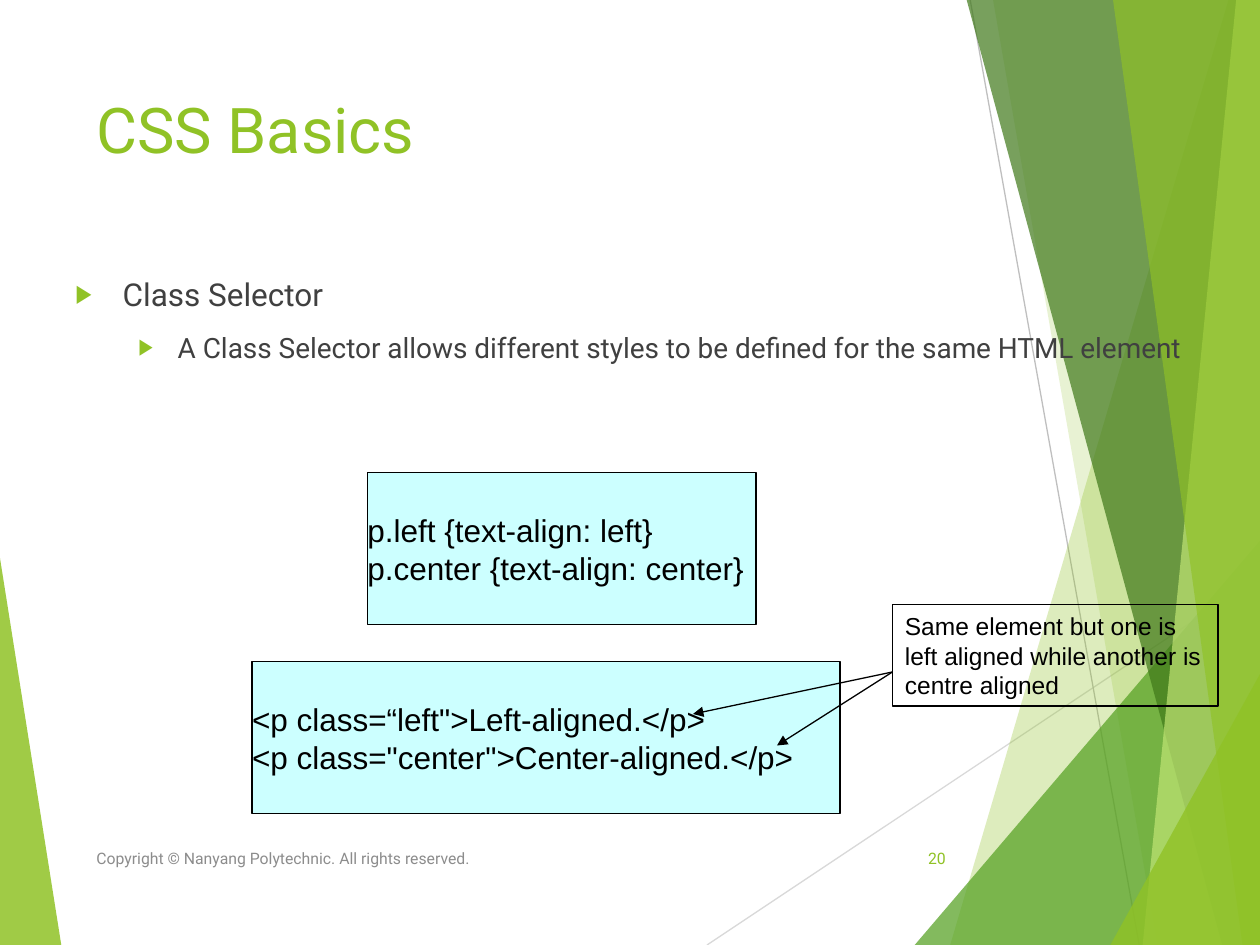
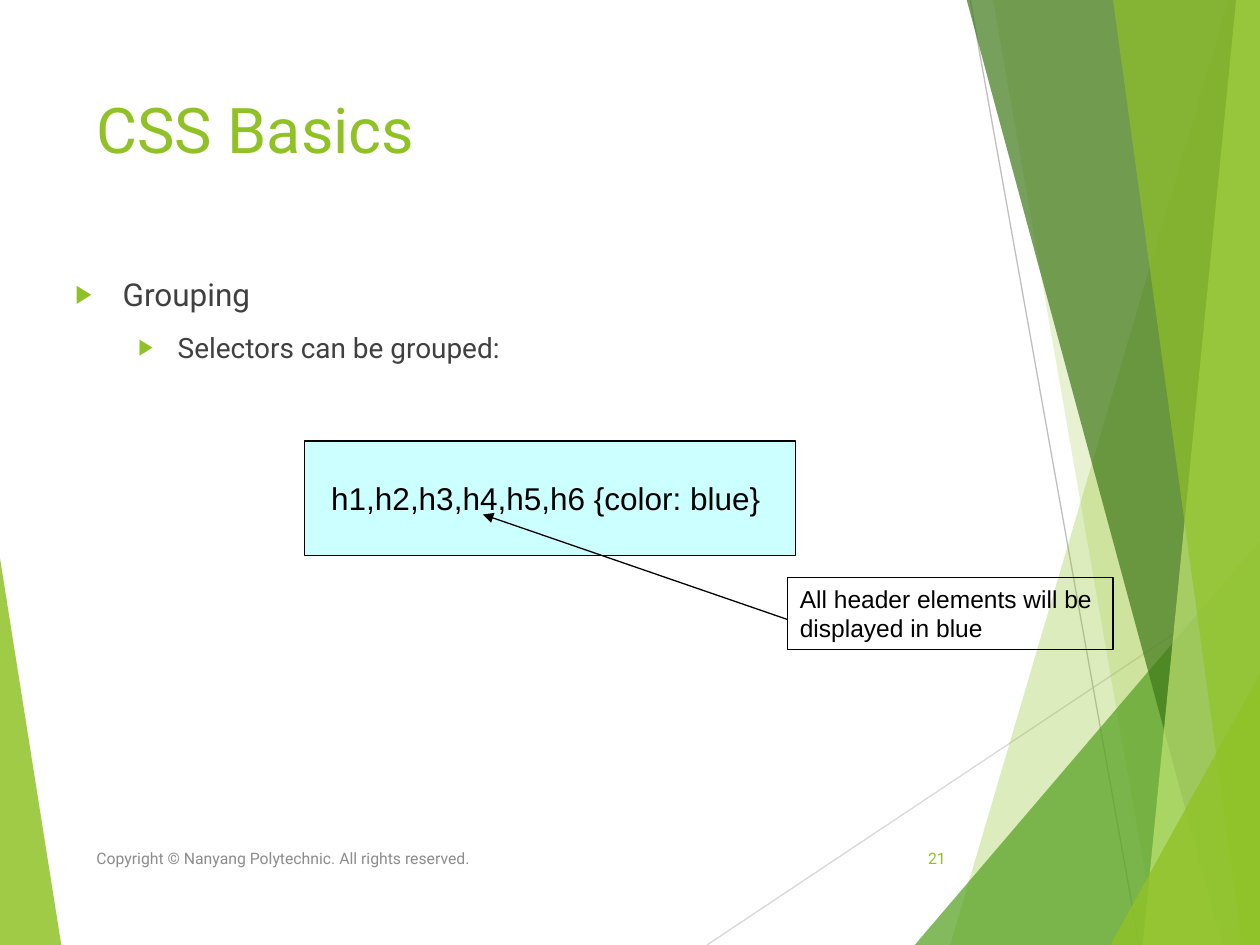
"""Build two CSS Basics slides on a faceted green background."""
from dataclasses import dataclass

from lxml import etree
from pptx import Presentation
from pptx import util as u
from pptx.dml.color import RGBColor
from pptx.enum import shapes, text
from pptx.oxml import ns

WIDTH, HEIGHT = 720, 540
RIGHT_CORNERS = [(WIDTH, HEIGHT), (WIDTH, 0)]


@dataclass(frozen=True)
class Theme:
    heading_font: str = "Roboto"
    code_font: str = "Arial"
    green: str = "90C226"
    grass: str = "54A021"
    forest: str = "3F7819"
    lime: str = "C0E474"
    grey: str = "404040"
    footer_grey: str = "8C8C8C"
    ray_light: str = "D9D9D9"
    ray_dark: str = "BFBFBF"
    ink: str = "000000"
    code_fill: str = "CCFFFF"
    title_size: float = 36
    topic_size: float = 18
    detail_size: float = 16
    code_size: float = 18
    callout_size: float = 14
    footer_size: float = 9
    line_width: float = 0.75


def set_values(target, values):
    for name, value in values.items():
        setattr(target, name, value)


def add_element(parent, tag, **attributes):
    return etree.SubElement(parent, ns.qn(tag), attributes)


class Deck:
    def __init__(self, theme):
        self.theme = theme
        self.presentation = Presentation()
        self.presentation.slide_width = u.Pt(WIDTH)
        self.presentation.slide_height = u.Pt(HEIGHT)
        self.slide = None

    def add_slide(self, title, number):
        theme = self.theme
        self.slide = self.presentation.slides.add_slide(self.presentation.slide_layouts[6])
        self.background()
        self.label(title, (48, 48, 500, 104), theme.title_size, theme.green)
        middle = {"vertical_anchor": text.MSO_ANCHOR.MIDDLE}
        self.label("Copyright © Nanyang Polytechnic. All rights reserved.",
                   (48, 476, 364, 29), theme.footer_size, theme.footer_grey, middle)
        self.label(str(number), (507.5, 476, 40, 29), theme.footer_size, theme.green,
                   middle, text.PP_ALIGN.RIGHT)

    def background(self):
        theme = self.theme
        self.facet([(0, 319), (35, HEIGHT), (0, HEIGHT)], theme.green, 85)
        self.line((404, HEIGHT), (WIDTH, 329.4), theme.ray_light)
        self.line((554.4, 0), (651, HEIGHT), theme.ray_dark)
        for edge, color, opacity in (
            ([(702, 0), (543, HEIGHT)], theme.green, 30),
            ([(567.5, 0), (661.5, HEIGHT)], theme.green, 20),
            ([(522.7, HEIGHT), (WIDTH, 309)], theme.grass, 72),
            ([(552.4, 0), (698.4, HEIGHT)], theme.forest, 70),
            ([(706.4, 0), (653, HEIGHT)], theme.lime, 70),
            ([(636, 0), (710, HEIGHT)], theme.green, 65),
            ([(634.5, HEIGHT), (WIDTH, 385.2)], theme.green, 80),
        ):
            corners = RIGHT_CORNERS if edge[0][1] == 0 else RIGHT_CORNERS[:1]
            self.facet(edge + corners, color, opacity)

    def facet(self, points, color, opacity):
        corners = [(u.Pt(x), u.Pt(y)) for x, y in points]
        builder = self.slide.shapes.build_freeform(*corners[0])
        builder.add_line_segments(corners[1:], close=True)
        shape = builder.convert_to_shape()
        shape.shadow.inherit = False
        shape.line.fill.background()
        shape.fill.solid()
        shape.fill.fore_color.rgb = RGBColor.from_string(color)
        fill_color = next(shape.element.iter(ns.qn("a:srgbClr")))
        add_element(fill_color, "a:alpha", val=str(opacity * 1000))

    def line(self, start, end, color, arrow=False):
        ends = [u.Pt(value) for value in (*start, *end)]
        connector = self.slide.shapes.add_connector(shapes.MSO_CONNECTOR.STRAIGHT, *ends)
        connector.line.color.rgb = RGBColor.from_string(color)
        connector.line.width = u.Pt(self.theme.line_width)
        properties = connector.element.spPr
        if arrow:
            add_element(properties.find(ns.qn("a:ln")), "a:tailEnd", type="triangle")
        add_element(properties, "a:effectLst")

    def arrow(self, start, end):
        self.line(start, end, self.theme.ink, arrow=True)

    def set_text(self, paragraph, words, size, color, font=None):
        paragraph.text = words
        set_values(paragraph.font, {"size": u.Pt(size), "name": font or self.theme.heading_font})
        paragraph.font.color.rgb = RGBColor.from_string(color)

    def text_box(self, box):
        frame = self.slide.shapes.add_textbox(*map(u.Pt, box)).text_frame
        frame.word_wrap = True
        return frame

    def label(self, words, box, size, color, frame_format=None, align=text.PP_ALIGN.LEFT):
        frame = self.text_box(box)
        set_values(frame, frame_format or {})
        frame.paragraphs[0].alignment = align
        self.set_text(frame.paragraphs[0], words, size, color)

    def bullets(self, topic, detail):
        theme = self.theme
        frame = self.text_box((36, 153.5, 648, 356))
        levels = ((topic, theme.topic_size, 27, 27, 0), (detail, theme.detail_size, 58.5, 22.5, 10))
        for level, (words, size, margin, hanging, space) in enumerate(levels):
            paragraph = frame.add_paragraph() if level else frame.paragraphs[0]
            properties = paragraph._p.get_or_add_pPr()
            properties.set("marL", str(u.Pt(margin)))
            properties.set("indent", str(-u.Pt(hanging)))
            add_element(add_element(properties, "a:buClr"), "a:srgbClr", val=theme.green)
            add_element(properties, "a:buSzPct", val="80000")
            add_element(properties, "a:buFont", typeface=theme.code_font)
            add_element(properties, "a:buChar", char="▶")
            set_values(paragraph, {"level": level, "space_before": u.Pt(space)})
            self.set_text(paragraph, words, size, theme.grey)

    def rectangle(self, lines, box, size, fill=None, align=text.PP_ALIGN.LEFT, insets=(0, 0)):
        theme = self.theme
        shape = self.slide.shapes.add_shape(shapes.MSO_SHAPE.RECTANGLE, *map(u.Pt, box))
        shape.shadow.inherit = False
        shape.line.color.rgb = RGBColor.from_string(theme.ink)
        shape.line.width = u.Pt(theme.line_width)
        if fill:
            shape.fill.solid()
            shape.fill.fore_color.rgb = RGBColor.from_string(fill)
        else:
            shape.fill.background()
        frame = shape.text_frame
        side, top = map(u.Pt, insets)
        set_values(frame, {"word_wrap": True, "vertical_anchor": text.MSO_ANCHOR.MIDDLE,
                           "margin_left": side, "margin_right": side,
                           "margin_top": top, "margin_bottom": top})
        for index, words in enumerate(lines):
            paragraph = frame.add_paragraph() if index else frame.paragraphs[0]
            paragraph.alignment = align
            self.set_text(paragraph, words, size, theme.ink, theme.code_font)

    def code(self, lines, box, align=text.PP_ALIGN.LEFT):
        self.rectangle(lines, box, self.theme.code_size, self.theme.code_fill, align)

    def callout(self, words, box):
        self.rectangle([words], box, self.theme.callout_size, insets=(7.2, 3.6))


def main():
    deck = Deck(Theme())

    deck.add_slide("CSS Basics", 20)
    deck.bullets("Class Selector",
                 "A Class Selector allows different styles to be defined for the same HTML element")
    deck.code(['<p class=“left">Left-aligned.</p>', '<p class="center">Center-aligned.</p>'],
              (144, 378, 336, 87))
    callout_edge = (510, 384)
    deck.arrow(callout_edge, (396, 408))
    deck.code(["p.left {text-align: left}", "p.center {text-align: center}"], (210, 270, 222, 87))
    deck.arrow(callout_edge, (444, 426))
    deck.callout("Same element but one is left aligned while another is centre aligned",
                 (510, 345.5, 186, 58))

    deck.add_slide("CSS Basics", 21)
    deck.bullets("Grouping", "Selectors can be grouped:")
    deck.code(["h1,h2,h3,h4,h5,h6 {color: blue} "], (174, 252, 280.8, 65.5), text.PP_ALIGN.CENTER)
    deck.callout("All header elements will be displayed in blue", (450, 330, 186, 41))
    deck.arrow((450, 354), (276, 294))

    deck.presentation.save("out.pptx")


if __name__ == "__main__":
    main()
